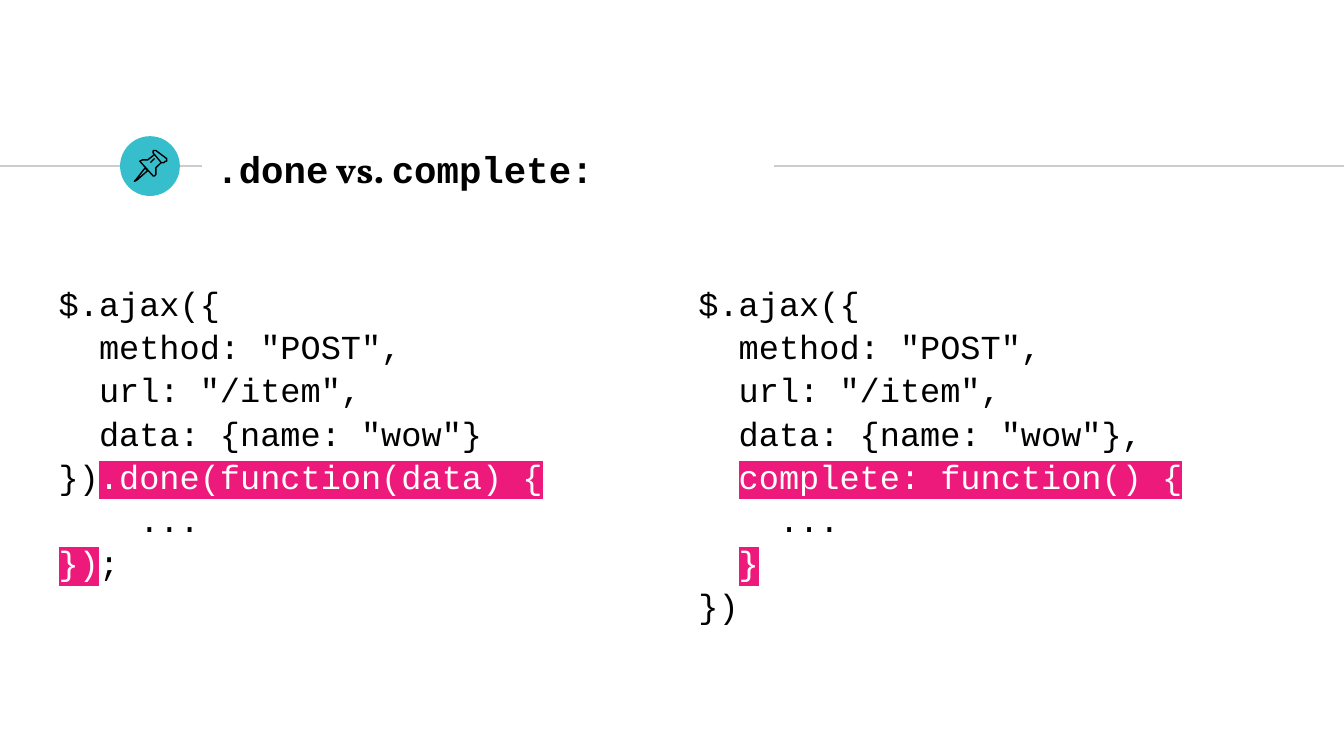
from typing import NamedTuple

from lxml.etree import SubElement
from pptx import Presentation
from pptx.dml.color import RGBColor
from pptx.enum.shapes import MSO_CONNECTOR, MSO_SHAPE
from pptx.enum.text import MSO_ANCHOR, MSO_AUTO_SIZE, PP_ALIGN
from pptx.oxml import parse_xml
from pptx.oxml.ns import nsdecls, qn
from pptx.slide import Slide
from pptx.text.text import TextFrame, _Paragraph as Paragraph
from pptx.util import Cm, Pt

COLORS = {
    "black": "000000",
    "white": "FFFFFF",
    "rule": "CCCCCC",
    "badge": "37BECC",
    "highlight": "ED197B",
}
CODE_FONT = "Courier New"
TITLE_FONT = "Vollkorn"
RULE_Y = 3.14
BADGE_SIZE = 1.13
INSET = 0.25
PIN_UNIT = Cm(0.0254)


class Run(NamedTuple):
    text: str
    font: str = CODE_FONT
    marked: bool = False


class CodeBlock(NamedTuple):
    left: float
    height: float
    lines: list[list[Run]]


class Outline(NamedTuple):
    points: list[tuple[float, float]]
    closed: bool


def mark(text: str) -> Run:
    return Run(text, marked=True)


TITLE = [Run(".done"), Run(" vs. ", TITLE_FONT), Run("complete:")]

REQUEST = [[Run("$.ajax({")], [Run('  method: "POST",')], [Run('  url: "/item",')]]

CODE_BLOCKS = [
    CodeBlock(12.95, 5.6, REQUEST + [
        [Run('  data: {name: "wow"},')],
        [Run("  "), mark("complete: function() {")],
        [Run("    ...")],
        [Run("  "), mark("}")],
        [Run("})")],
    ]),
    CodeBlock(0.86, 7.9, REQUEST + [
        [Run('  data: {name: "wow"}')],
        [Run("})"), mark(".done(function(data) {")],
        [Run("    ...")],
        [mark("})"), Run(";")],
    ]),
]

# Pushpin outlines, in PIN_UNIT steps from the slide corner
PIN = [
    Outline([(108, 125), (101, 134), (100, 135), (102, 134), (110, 127)], True),
    Outline([(115, 115), (120, 121), (121.5, 121), (123, 120.5), (124, 119.5),
             (123.5, 118.5), (116.5, 112), (115.5, 111.5), (114.5, 112.5),
             (114, 114)], True),
    Outline([(115, 115), (110, 119.3), (108, 118.8), (106, 118.8), (104.5, 119.5),
             (104, 120.5), (114.3, 130.8), (115.3, 130.8), (116, 130),
             (116.4, 128), (116.3, 126), (116, 125), (120, 121)], False),
    Outline([(112, 121), (115, 118)], False),
]


def rgb(name: str) -> RGBColor:
    return RGBColor.from_string(COLORS[name])


def set_frame(tf: TextFrame, anchor: MSO_ANCHOR) -> None:
    tf.word_wrap = True
    tf.auto_size = MSO_AUTO_SIZE.NONE
    tf.vertical_anchor = anchor
    tf.margin_left = tf.margin_right = tf.margin_top = tf.margin_bottom = Cm(INSET)


def add_runs(p: Paragraph, runs: list[Run], size: int, bold: bool = False) -> None:
    p.alignment = PP_ALIGN.LEFT
    for run in runs:
        r = p.add_run()
        r.text = run.text
        r.font.size = Pt(size)
        r.font.bold = bold
        r.font.name = run.font
        r.font.color.rgb = rgb("white" if run.marked else "black")
        if run.marked:
            highlight = parse_xml(f"<a:highlight {nsdecls('a')}>"
                                  f'<a:srgbClr val="{COLORS["highlight"]}"/></a:highlight>')
            r.font._element.find(qn("a:solidFill")).addnext(highlight)


def add_rule(s: Slide, start: float, end: float) -> None:
    line = s.shapes.add_connector(
        MSO_CONNECTOR.STRAIGHT, Cm(start), Cm(RULE_Y), Cm(end), Cm(RULE_Y))
    line.line.color.rgb = rgb("rule")
    line.line.width = Pt(0.75)
    SubElement(line._element.spPr, qn("a:effectLst"))


def add_badge(s: Slide) -> None:
    sp = s.shapes.add_shape(MSO_SHAPE.OVAL, Cm(2.27), Cm(RULE_Y - BADGE_SIZE / 2),
                            Cm(BADGE_SIZE), Cm(BADGE_SIZE))
    sp.shadow.inherit = False
    sp.fill.solid()
    sp.fill.fore_color.rgb = rgb("badge")
    sp.line.fill.background()


def add_outline(s: Slide, outline: Outline) -> None:
    first, *rest = outline.points
    builder = s.shapes.build_freeform(*first, scale=PIN_UNIT)
    builder.add_line_segments(rest, close=outline.closed)
    sp = builder.convert_to_shape()
    sp.shadow.inherit = False
    sp.fill.background()
    sp.line.color.rgb = rgb("black")
    sp.line.width = Pt(0.75)


def add_title(s: Slide) -> None:
    sp = s.shapes.title
    sp.left, sp.top, sp.width, sp.height = Cm(3.84), Cm(2.57), Cm(10.77), Cm(1.22)
    set_frame(sp.text_frame, MSO_ANCHOR.MIDDLE)
    add_runs(sp.text_frame.paragraphs[0], TITLE, 20, bold=True)


def add_code(s: Slide, block: CodeBlock) -> None:
    sp = s.shapes.add_textbox(Cm(block.left), Cm(5.05), Cm(13.08), Cm(block.height))
    tf = sp.text_frame
    set_frame(tf, MSO_ANCHOR.TOP)
    for i, runs in enumerate(block.lines):
        p = tf.add_paragraph() if i else tf.paragraphs[0]
        p.line_spacing = 1.07
        add_runs(p, runs, 18)


def main() -> None:
    prs = Presentation()
    prs.slide_width, prs.slide_height = Cm(25.4), Cm(14.29)
    s = prs.slides.add_slide(prs.slide_layouts[5])
    add_rule(s, 0, 3.81)
    add_badge(s)
    add_rule(s, 14.63, 25.4)
    add_title(s)
    for outline in PIN:
        add_outline(s, outline)
    for block in CODE_BLOCKS:
        add_code(s, block)
    prs.save("out.pptx")


if __name__ == "__main__":
    main()
